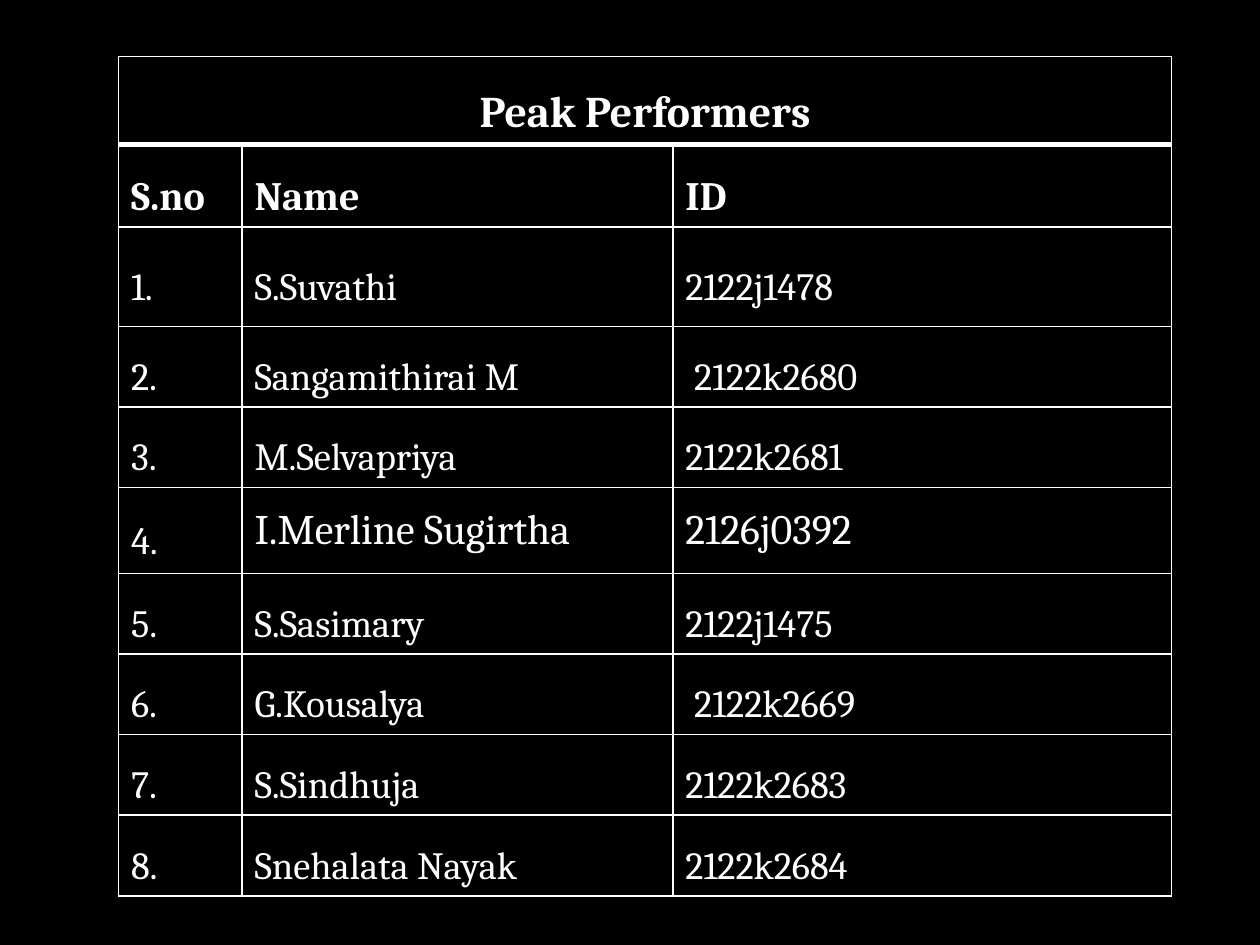
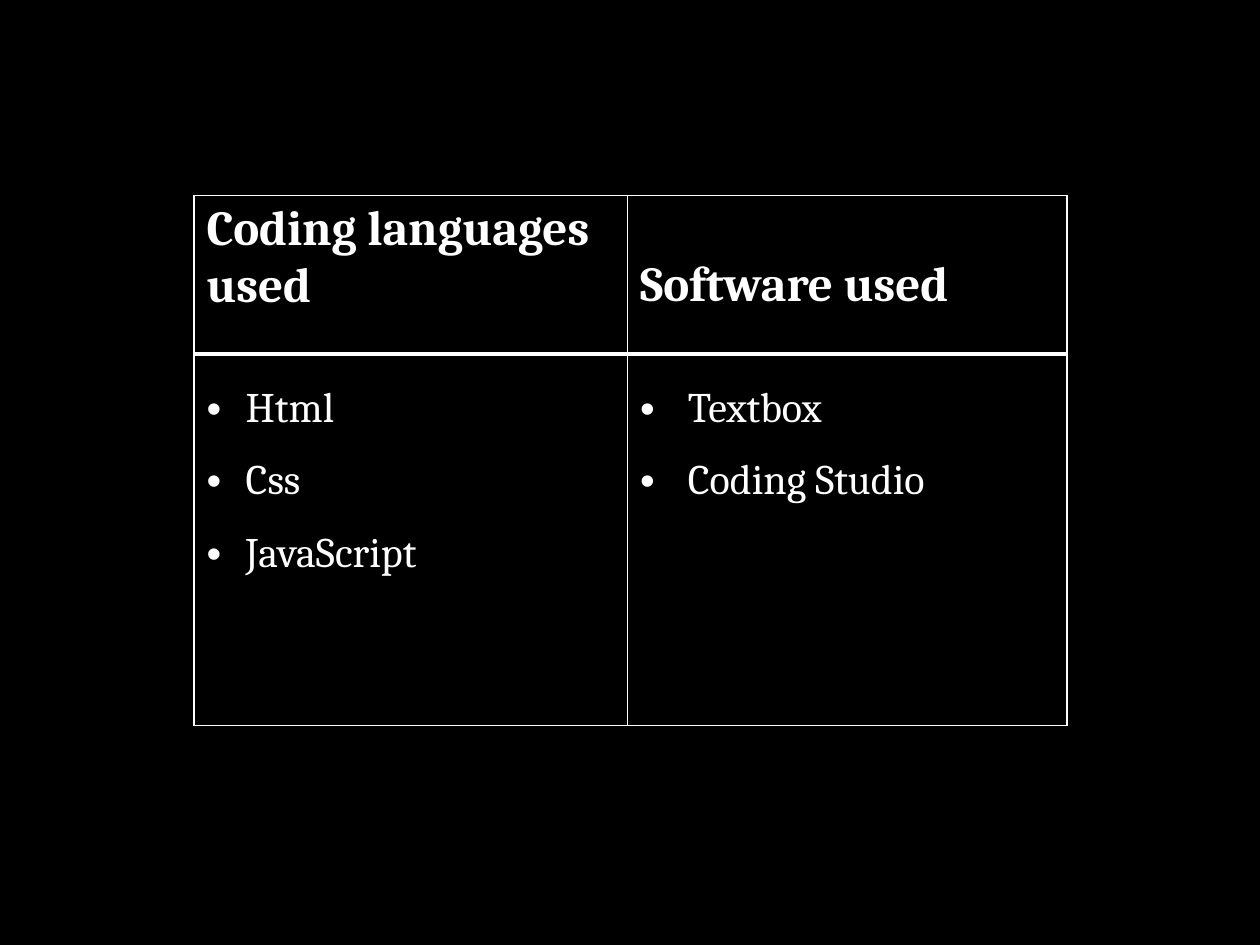
from dataclasses import dataclass

from lxml.etree import SubElement
from pptx import Presentation
from pptx.dml.color import RGBColor
from pptx.enum.text import MSO_ANCHOR as Anchor, PP_ALIGN as Align
from pptx.oxml.ns import qn
from pptx.util import Inches, Pt


@dataclass(frozen=True)
class Theme:
    font: str = "Cambria"
    ink: str = "FFFFFF"
    paper: str = "000000"
    thin: float = 1
    thick: float = 3
    title: float = 25
    heading: float = 23
    entry: float = 22
    large_entry: float = 24
    tool_heading: float = 28
    leading: float = 1.5


theme = Theme()


def add_grid(left, top, widths, heights):
    """Add a black slide whose table has thin rules and a thick one under its first row."""
    slide = prs.slides.add_slide(prs.slide_layouts[6])
    slide.background.fill.solid()
    slide.background.fill.fore_color.rgb = RGBColor.from_string(theme.paper)
    grid = slide.shapes.add_table(len(heights), len(widths), Inches(left), Inches(top),
                                  Inches(sum(widths)), Inches(sum(heights))).table
    grid.first_row = grid.horz_banding = False
    for column, width in zip(grid.columns, widths):
        column.width = Inches(width)
    for index, (row, height) in enumerate(zip(grid.rows, heights)):
        row.height = Inches(height)
        thick_edge = {0: "lnB", 1: "lnT"}.get(index)
        for cell in row.cells:
            properties = cell._tc.get_or_add_tcPr()
            for edge in ("lnL", "lnR", "lnT", "lnB"):
                weight = theme.thick if edge == thick_edge else theme.thin
                rule = SubElement(properties, qn(f"a:{edge}"), w=str(Pt(weight)))
                SubElement(SubElement(rule, qn("a:solidFill")), qn("a:srgbClr"), val=theme.ink)
            cell.fill.solid()
            cell.fill.fore_color.rgb = RGBColor.from_string(theme.paper)
    return grid


def write(cell, text, size, bold=False, leading=None, bullet_indent=None):
    """Fill a cell, one paragraph for each line of text."""
    cell.text_frame.text = text
    for paragraph in cell.text_frame.paragraphs:
        if bullet_indent:
            properties = paragraph._p.get_or_add_pPr()
            properties.set("marL", str(Inches(bullet_indent)))
            properties.set("indent", str(-Inches(bullet_indent)))
            SubElement(properties, qn("a:buFont"), typeface="Arial")
            SubElement(properties, qn("a:buChar"), char="•")
        if leading:
            paragraph.line_spacing = leading
        for run in paragraph.runs:
            run.font.name = theme.font
            run.font.size = Pt(size)
            run.font.bold = bold
            run.font.color.rgb = RGBColor.from_string(theme.ink)


prs = Presentation()
prs.slide_width, prs.slide_height = Inches(10), Inches(7.5)

# Peak performers
performers = [
    ("S.Suvathi", "2122j1478"),
    ("Sangamithirai M", "2122k2680"),
    ("M.Selvapriya", "2122k2681"),
    ("I.Merline Sugirtha", "2126j0392"),
    ("S.Sasimary", "2122j1475"),
    ("G.Kousalya", "2122k2669"),
    ("S.Sindhuja", "2122k2683"),
    ("Snehalata Nayak", "2122k2684"),
]
large_performer = 4
inset_ids = (2, 6)

roster = add_grid(0.94, 0.45, [0.98, 3.42, 3.96],
                  [0.6, 0.6, 0.79, 0.64, 0.64, 0.68] + [0.64] * 4)
roster_title = roster.cell(0, 0)
roster_title.merge(roster.cell(0, 2))
write(roster_title, "Peak Performers", theme.title, True, theme.leading)
roster_title.text_frame.paragraphs[0].alignment = Align.CENTER
roster_title.vertical_anchor = Anchor.MIDDLE

for column, heading in enumerate(("S.no", "Name", "ID")):
    heading_cell = roster.cell(1, column)
    write(heading_cell, heading, theme.heading, True, theme.leading)
    heading_cell.vertical_anchor = Anchor.MIDDLE

for number, performer in enumerate(performers, start=1):
    for column, entry in enumerate((f"{number}.", *performer)):
        entry_cell = roster.cell(number + 1, column)
        if number == large_performer and column > 0:
            write(entry_cell, entry, theme.large_entry)
        else:
            write(entry_cell, entry, theme.entry, leading=theme.leading)
        entry_cell.vertical_anchor = Anchor.MIDDLE
for number in inset_ids:
    roster.cell(number + 1, 2).margin_left = Inches(0.17)

# Languages and software
tools = [
    ("Coding languages used", 0.05, ["Html", "Css", "JavaScript"], 0.31),
    ("Software used", 0.49, ["Textbox", "Coding Studio"], 0.38),
]
toolbox = add_grid(1.54, 1.55, [3.44, 3.49], [1.26, 2.95])
for column, (heading, top_margin, names, indent) in enumerate(tools):
    heading_cell = toolbox.cell(0, column)
    write(heading_cell, heading, theme.tool_heading, True)
    heading_cell.margin_top = Inches(top_margin)
    write(toolbox.cell(1, column), "\n".join(names), theme.large_entry,
          leading=theme.leading, bullet_indent=indent)

prs.save("out.pptx")
